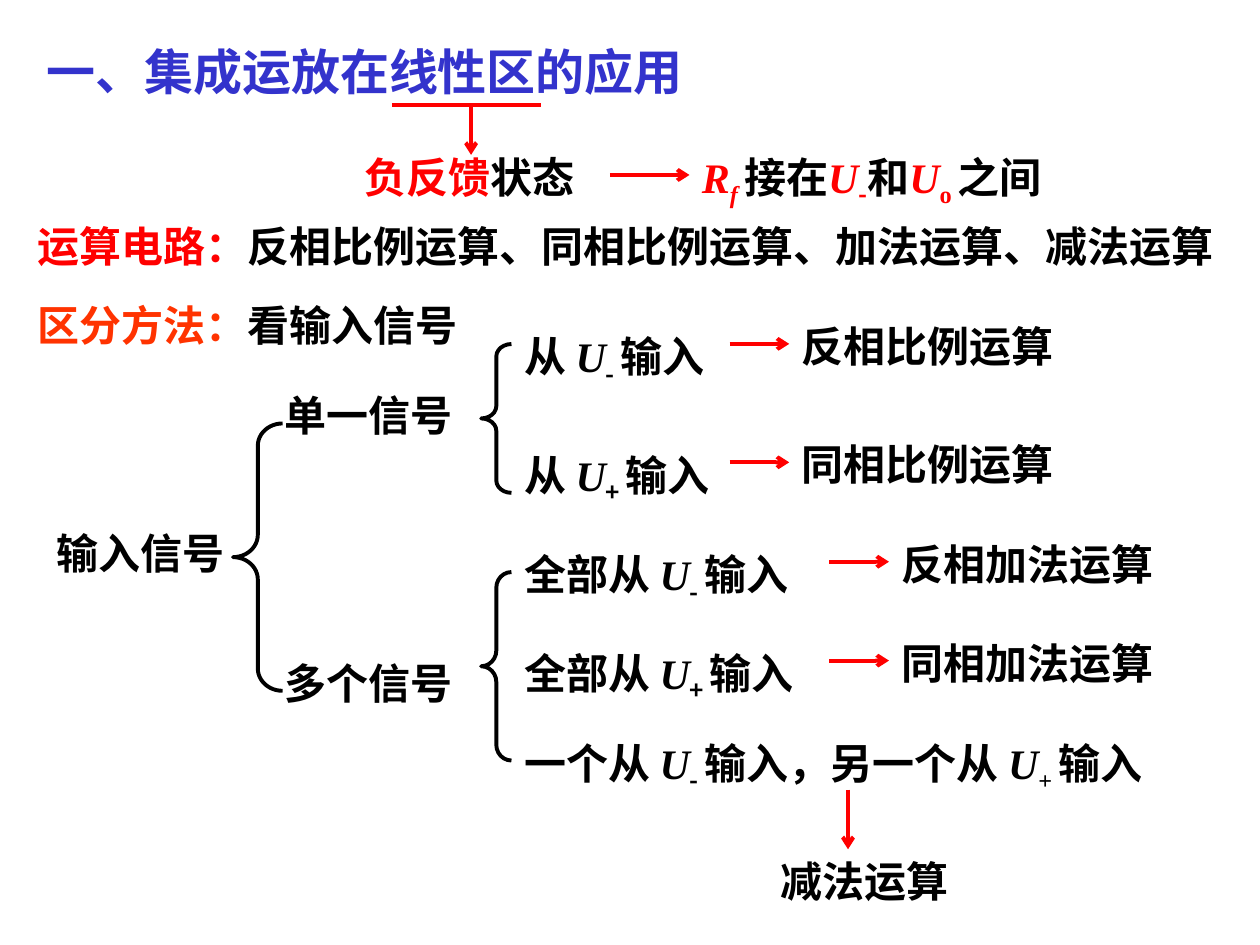
"""Build a slide on the linear uses of an integrated op-amp."""
from dataclasses import dataclass
from lxml import etree
from pptx import Presentation
from pptx.dml.color import RGBColor
from pptx.enum import shapes, text
from pptx.oxml import ns
from pptx.util import Pt


@dataclass(frozen=True)
class Theme:
    ink: RGBColor = RGBColor(0, 0, 0)
    red: RGBColor = RGBColor(255, 0, 0)
    blue: RGBColor = RGBColor(0x33, 0x33, 0xCC)
    coral: RGBColor = RGBColor(255, 0x33, 0)
    face: str = "Times New Roman"
    sans: str = "Noto Sans CJK SC"
    head: float = 28
    body: float = 24
    line: float = 2.25


look = Theme()
ink, red = look.ink, look.red
deck = Presentation()
deck.slide_width, deck.slide_height = Pt(720), Pt(540)
slide = deck.slides.add_slide(deck.slide_layouts[6])


def write(left, top, width, runs, height=36, size=look.body):
    """Add a text box; style letters: i italic, s subscript, n sans face."""
    box = slide.shapes.add_textbox(Pt(left), Pt(top), Pt(width), Pt(height))
    frame = box.text_frame
    frame.word_wrap = True
    frame.vertical_anchor = text.MSO_ANCHOR.MIDDLE
    para = frame.paragraphs[0]
    para.font.name, para.font.size, para.font.bold = look.face, Pt(size), True
    base = para._p.pPr.find(ns.qn("a:defRPr"))
    etree.SubElement(base, ns.qn("a:ea"), typeface=look.sans)
    for words, color, style in runs:
        run = para.add_run()
        run.text = words
        run.font.color.rgb = color
        if "i" in style:
            run.font.italic = True
        if "n" in style:
            run.font.name = look.sans
        if "s" in style:
            run._r.get_or_add_rPr().set("baseline", "-25000")


def draw(left, top, right, end, arrow=True):
    """Add a red line, with an open arrowhead unless told otherwise."""
    line = slide.shapes.add_connector(
        shapes.MSO_CONNECTOR.STRAIGHT, Pt(left), Pt(top), Pt(right), Pt(end))
    line.line.color.rgb, line.line.width = red, Pt(look.line)
    props = line._element.spPr
    if arrow:
        etree.SubElement(props.find(ns.qn("a:ln")), ns.qn("a:tailEnd"), type="arrow")
    etree.SubElement(props, ns.qn("a:effectLst"))


write(19.5, 20, 442, [("一、集成运放在线性区的应用", look.blue, "")], 41, look.head)
draw(224, 60.2, 309, 60.2, False)
draw(269.2, 60.2, 269.2, 88.5)
write(201.5, 82.8, 153, [("负反馈", red, ""), ("状态", ink, "")])
draw(348.5, 100, 394, 100)
write(394, 82.8, 244, [
    ("R", red, "i"), ("f ", red, "is"), ("接在", ink, ""),
    ("U", red, "i"), ("-", red, "ns"), ("和", ink, ""),
    ("U", red, "i"), ("o ", red, "s"), ("之间", ink, "")], 40.3)

write(14.4, 122.4, 695, [
    ("运算电路：", red, ""),
    ("反相比例运算、同相比例运算、加法运算、减法运算", ink, "")])
write(14.4, 167.8, 300, [("区分方法：", look.coral, ""), ("看输入信号", ink, "")])

for left, top, width, words in [
        (25.2, 298, 119, "输入信号"), (155.5, 219, 142, "单一信号"),
        (155.5, 372.2, 142, "多个信号"), (439.2, 485.3, 153, "减法运算")]:
    write(left, top, width, [(words, ink, "")])

for left, top, width, height in [
        (133.2, 242, 28.3, 152.8), (275, 196.6, 17.3, 85), (275, 326.9, 17.3, 107.7)]:
    brace = slide.shapes.add_shape(
        shapes.MSO_SHAPE.LEFT_BRACE, Pt(left), Pt(top), Pt(width), Pt(height))
    brace.adjustments[0] = height / 12 / width
    brace.shadow.inherit = False
    brace.fill.background()
    brace.line.color.rgb, brace.line.width = ink, Pt(look.line)

for start, mid, lead, sign, answer in [
        (417, 196.5, "从 ", "- ", "反相比例运算"),
        (417, 264.2, "从 ", "+ ", "同相比例运算"),
        (474, 321, "全部从 ", "- ", "反相加法运算"),
        (474, 377.5, "全部从 ", "+ ", "同相加法运算")]:
    draw(start, mid, start + 34, mid)
    write(start + 34, mid - 17, 187, [(answer, ink, "")])
    write(292.4, mid - 11.3, 215, [
        (lead, ink, ""), ("U", ink, "i"), (sign, ink, "ns"), ("输入", ink, "")], 40.3)

write(292.4, 417.5, 397, [
    ("一个从 ", ink, ""), ("U", ink, "i"), ("- ", ink, "ns"),
    ("输入，另一个从 ", ink, ""), ("U", ink, "i"), ("+ ", ink, "s"),
    ("输入", ink, "")], 40.3)
draw(484.6, 451.3, 484.6, 485.3)

deck.save("out.pptx")
